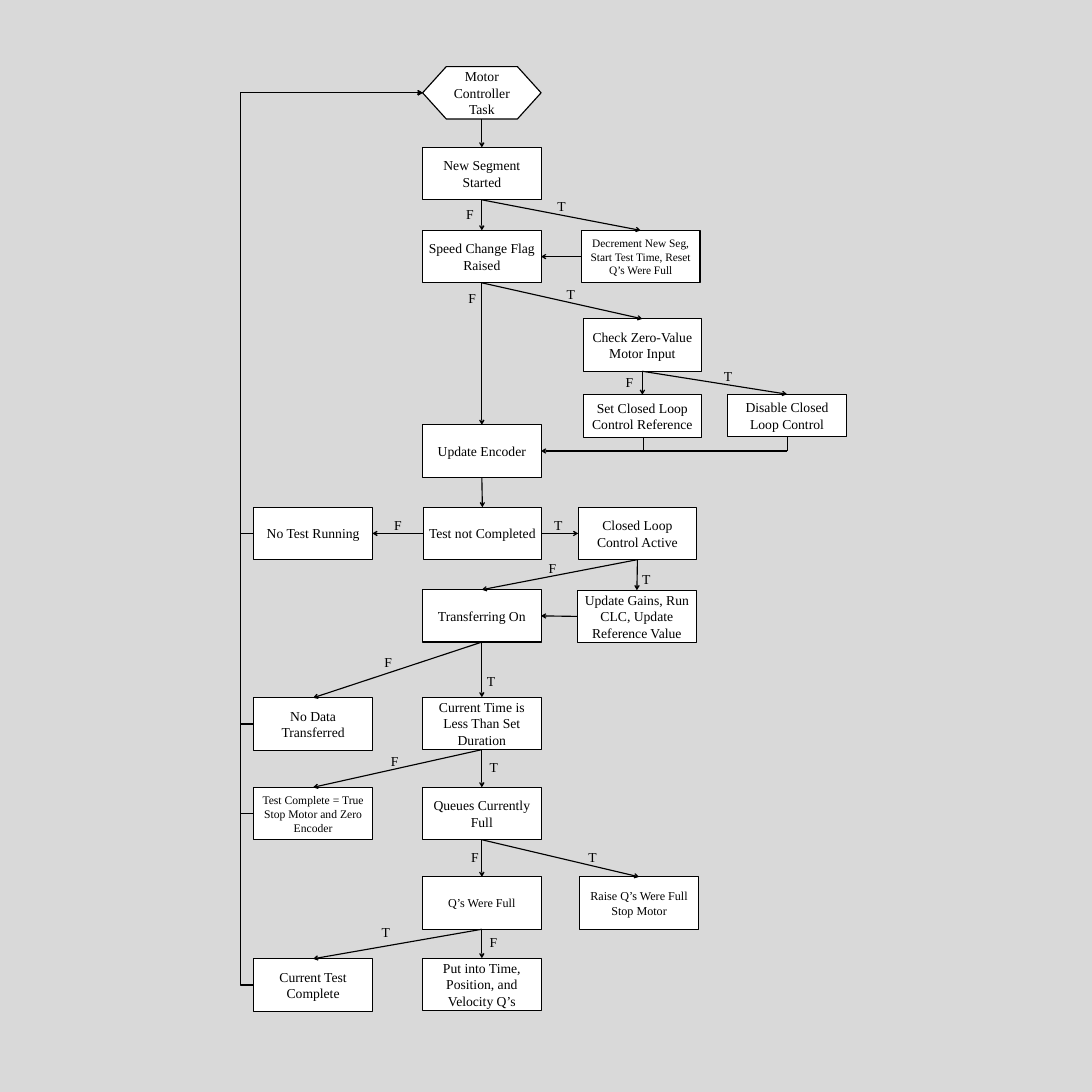
from dataclasses import dataclass
from enum import IntEnum
from typing import Optional

from lxml import etree
from pptx import Presentation
from pptx import util as u
from pptx.dml.color import RGBColor
from pptx.enum import shapes, text
from pptx.oxml import ns

BLACK = RGBColor(0x00, 0x00, 0x00)
WHITE = RGBColor(0xFF, 0xFF, 0xFF)
GREY = RGBColor(0xD9, 0xD9, 0xD9)
FONT = "Times New Roman"
LINE_WIDTH = u.Pt(1.5)
STEP_WIDTH = 2.17
LEFT, MAIN = 4.65, 7.74
RETURN_X, MERGE_Y = 4.4, 8.26
PROCESS = shapes.MSO_SHAPE.FLOWCHART_PROCESS


class Side(IntEnum):
    """Connection sites, in the order the shapes number them."""
    TOP = 0
    LEFT = 1
    BOTTOM = 2
    RIGHT = 3


@dataclass(frozen=True)
class Step:
    left: float
    top: float
    words: str
    size: float = 18
    height: float = 0.96
    outline: shapes.MSO_SHAPE = PROCESS


@dataclass(frozen=True)
class Link:
    source: str
    target: str
    leave: Side = Side.BOTTOM
    enter: Side = Side.TOP
    answer: str = ""
    answer_at: tuple[float, float] = (0, 0)


STEPS = {
    "task": Step(MAIN, 1.22, "Motor Controller Task",
                 outline=shapes.MSO_SHAPE.FLOWCHART_PREPARATION),
    "segment": Step(MAIN, 2.7, "New Segment Started"),
    "speed": Step(MAIN, 4.22, "Speed Change Flag Raised"),
    "decrement": Step(10.65, 4.22, "Decrement New Seg, Start Test Time, Reset Q’s Were Full", 15),
    "zero": Step(10.68, 5.84, "Check Zero-Value Motor Input"),
    "set_loop": Step(10.68, 7.23, "Set Closed Loop Control Reference", height=0.78),
    "disable_loop": Step(13.33, 7.22, "Disable Closed Loop Control", height=0.78),
    "encoder": Step(MAIN, 7.78, "Update Encoder"),
    "incomplete": Step(7.75, 9.29, "Test not Completed"),
    "no_test": Step(LEFT, 9.29, "No Test Running"),
    "loop_active": Step(10.59, 9.29, "Closed Loop Control Active"),
    "gains": Step(10.58, 10.81, "Update Gains, Run CLC, Update Reference Value"),
    "transfer": Step(MAIN, 10.8, "Transferring On"),
    "no_data": Step(LEFT, 12.78, "No Data Transferred"),
    "duration": Step(MAIN, 12.77, "Current Time is Less Than Set Duration"),
    "stop": Step(LEFT, 14.42, "Test Complete = True\nStop Motor and Zero Encoder", 15.3),
    "queues": Step(MAIN, 14.42, "Queues Currently Full"),
    "were_full": Step(MAIN, 16.06, "Q’s Were Full", 16),
    "raise_full": Step(10.62, 16.06, "Raise Q’s Were Full\nStop Motor", 16),
    "complete": Step(LEFT, 17.56, "Current Test Complete"),
    "put": Step(MAIN, 17.55, "Put into Time, Position, and Velocity Q’s"),
}

LINKS = [
    Link("task", "segment"),
    Link("segment", "speed", answer="F", answer_at=(8.44, 3.73)),
    Link("segment", "decrement", answer="T", answer_at=(10.11, 3.57)),
    Link("decrement", "speed", Side.LEFT, Side.RIGHT),
    Link("speed", "encoder", answer="F", answer_at=(8.48, 5.26)),
    Link("speed", "zero", answer="T", answer_at=(10.28, 5.18)),
    Link("zero", "set_loop", answer="F", answer_at=(11.36, 6.8)),
    Link("zero", "disable_loop", answer="T", answer_at=(13.16, 6.69)),
    Link("encoder", "incomplete"),
    Link("incomplete", "no_test", Side.LEFT, Side.RIGHT, "F", (7.12, 9.41)),
    Link("incomplete", "loop_active", Side.RIGHT, Side.LEFT, "T", (10.05, 9.41)),
    Link("loop_active", "transfer", answer="F", answer_at=(9.95, 10.2)),
    Link("loop_active", "gains", answer="T", answer_at=(11.66, 10.4)),
    Link("gains", "transfer", Side.LEFT, Side.RIGHT),
    Link("transfer", "no_data", answer="F", answer_at=(6.94, 11.93)),
    Link("transfer", "duration", answer="T", answer_at=(8.82, 12.28)),
    Link("duration", "stop", answer="F", answer_at=(7.06, 13.74)),
    Link("duration", "queues", answer="T", answer_at=(8.87, 13.85)),
    Link("queues", "were_full", answer="F", answer_at=(8.53, 15.49)),
    Link("queues", "raise_full", answer="T", answer_at=(10.68, 15.49)),
    Link("were_full", "complete", answer="T", answer_at=(6.89, 16.88)),
    Link("were_full", "put", answer="F", answer_at=(8.87, 17.06)),
]

RETURNS = ["no_data", "stop", "complete"]


def write(frame, words: str, *, size: float = 18, wrap: bool = True,
          align: Optional[text.PP_ALIGN] = None,
          anchor: text.MSO_ANCHOR = text.MSO_ANCHOR.TOP) -> None:
    frame.text = words
    frame.word_wrap = wrap
    frame.vertical_anchor = anchor
    for paragraph in frame.paragraphs:
        paragraph.alignment = align
        for run in paragraph.runs:
            run.font.name = FONT
            run.font.size = u.Pt(size)
            run.font.color.rgb = BLACK


def draw_step(slide, step: Step):
    box = slide.shapes.add_shape(step.outline, u.Inches(step.left), u.Inches(step.top),
                                 u.Inches(STEP_WIDTH), u.Inches(step.height))
    box.shadow.inherit = False
    box.fill.solid()
    box.fill.fore_color.rgb = WHITE
    box.line.color.rgb = BLACK
    box.line.width = LINE_WIDTH
    write(box.text_frame, step.words, size=step.size, align=text.PP_ALIGN.CENTER,
          anchor=text.MSO_ANCHOR.MIDDLE)
    return box


def draw_line(slide, start: tuple[float, float] = (0, 0), end: tuple[float, float] = (0, 0), *,
              kind: shapes.MSO_CONNECTOR = shapes.MSO_CONNECTOR.STRAIGHT, arrow: bool = True):
    line = slide.shapes.add_connector(kind, *map(u.Inches, start + end))
    line.line.color.rgb = BLACK
    line.line.width = LINE_WIDTH
    if arrow:
        etree.SubElement(line.line._get_or_add_ln(), ns.qn("a:tailEnd"), type="arrow")
    etree.SubElement(line._element.spPr, ns.qn("a:effectLst"))
    return line


def draw_link(slide, link: Link, boxes: dict) -> None:
    arrow = draw_line(slide)
    arrow.begin_connect(boxes[link.source], link.leave)
    arrow.end_connect(boxes[link.target], link.enter)
    if link.answer:
        label = slide.shapes.add_textbox(*map(u.Inches, link.answer_at + (0.35, 0.4)))
        write(label.text_frame, link.answer, wrap=False)


def draw_return(slide, source, task) -> None:
    """Lead an elbow arrow from the left of a step back to the task."""
    elbow = draw_line(slide, kind=shapes.MSO_CONNECTOR.ELBOW)
    elbow.begin_connect(source, Side.LEFT)
    elbow.end_connect(task, Side.LEFT)
    bend = round((RETURN_X - LEFT) / (MAIN - LEFT) * 100000)
    geometry = elbow._element.spPr.find(ns.qn("a:prstGeom"))
    guides = geometry.find(ns.qn("a:avLst"))
    etree.SubElement(guides, ns.qn("a:gd"), name="adj1", fmla=f"val {bend}")


def main() -> None:
    deck = Presentation()
    deck.slide_width = deck.slide_height = u.Inches(20)
    slide = deck.slides.add_slide(deck.slide_layouts[6])
    slide.background.fill.solid()
    slide.background.fill.fore_color.rgb = GREY

    boxes = {key: draw_step(slide, step) for key, step in STEPS.items()}
    for link in LINKS:
        draw_link(slide, link, boxes)
    for key in RETURNS:
        draw_return(slide, boxes[key], boxes["task"])

    draw_line(slide, (RETURN_X, 9.77), (LEFT, 9.77), arrow=False)
    for x in (11.79, 14.42):
        draw_line(slide, (x, 8), (x, MERGE_Y), arrow=False)
    draw_line(slide, (14.42, MERGE_Y), (MAIN + STEP_WIDTH, MERGE_Y))
    deck.save("out.pptx")


if __name__ == "__main__":
    main()
